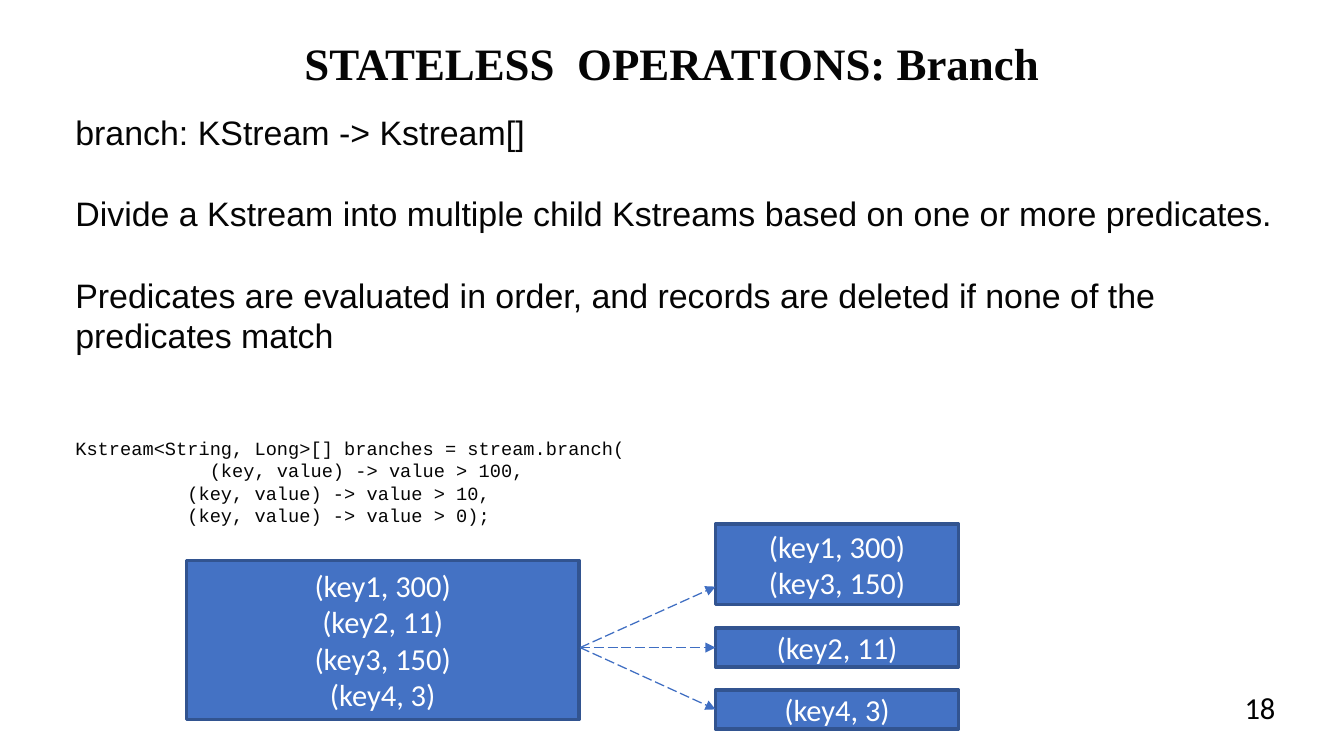
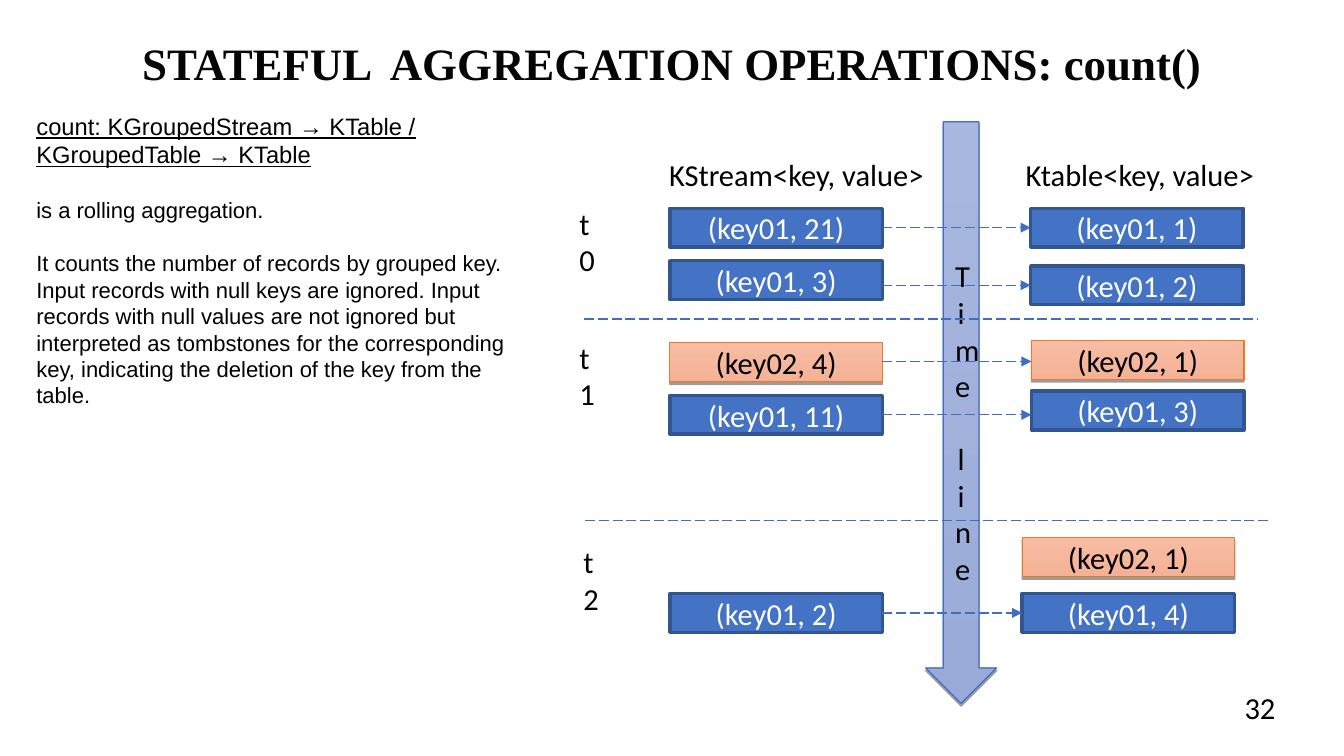
from lxml import etree
from pptx import Presentation
from pptx import util as u
from pptx.dml import color as dml_color
from pptx.enum import dml, shapes, text
from pptx.oxml import ns

INK, TITLE_INK, WHITE = "000000", "050505", "FFFFFF"
BLUE, BLUE_EDGE, LINE_BLUE, ORANGE_EDGE = "4472C4", "325490", "3F6EC2", "EC792A"
ORANGE_FADE = ("F7BCA4", "F4B196")
ARROW_FADE = ("A8B7DF", "9AABD9")
PAGE_WIDTH, PAGE_HEIGHT = 793.5, 446.5
LEFT, CENTER, RIGHT = text.PP_ALIGN.LEFT, text.PP_ALIGN.CENTER, text.PP_ALIGN.RIGHT


def rgb(value):
    return dml_color.RGBColor.from_string(value)


def points(*values):
    return [u.Pt(value) for value in values]


def add_xml(parent, tag, **attributes):
    return etree.SubElement(parent, ns.qn(tag), attributes)


class Deck:
    """The shared style and the slide being filled."""

    def __init__(self):
        self.show = Presentation()
        self.show.slide_width, self.show.slide_height = points(PAGE_WIDTH, PAGE_HEIGHT)
        self.page = None

    def new_page(self, title, number):
        self.page = self.show.slides.add_slide(self.show.slide_layouts[6])
        self.text((0, 13, PAGE_WIDTH, 50), title, font="Times New Roman", size=26.5,
                  color=TITLE_INK, bold=True, align=CENTER, insets=(8, 8, 8, 8))
        self.text((569, 407, 184, 30), number, align=RIGHT, insets=(0, 0, 0, 0))

    def style(self, paragraph, font="Calibri", size=18, color=INK, bold=False,
              underline=False, align=LEFT, before=0):
        paragraph.alignment = align
        if before:
            paragraph.space_before = u.Pt(before)
        for span in paragraph.runs:
            span.font.name, span.font.size = font, u.Pt(size)
            span.font.bold, span.font.underline = bold, underline
            span.font.color.rgb = rgb(color)

    def text(self, area, words, insets=(7, 3.5, 7, 3.5), wrap=True, **style):
        box = self.page.shapes.add_textbox(*points(*area))
        self.fill_frame(box.text_frame, words, insets, wrap, **style)
        return box.text_frame

    def fill_frame(self, frame, words, insets=(7, 3.5, 7, 3.5), wrap=True, **style):
        frame.word_wrap = wrap
        (frame.margin_left, frame.margin_top,
         frame.margin_right, frame.margin_bottom) = points(*insets)
        frame.text = words
        for paragraph in frame.paragraphs:
            self.style(paragraph, **style)

    def prose(self, area, parts, insets, **shared):
        """Text box whose paragraphs each bring their own style."""
        frame = self.text(area, "\n".join(words for words, _ in parts), insets)
        for paragraph, (_, own) in zip(frame.paragraphs, parts):
            self.style(paragraph, **{**shared, **own})

    def shape(self, kind, area, words, edge, edge_width, color, fill=None, fade=None):
        """Preset shape with a plain fill, or a fade with a small shadow below."""
        shape = self.page.shapes.add_shape(kind, *points(*area))
        shape.shadow.inherit = False
        shape.line.color.rgb, shape.line.width = rgb(edge), u.Pt(edge_width)
        if fade:
            shape.fill.gradient()
            shape.fill.gradient_angle = 270
            for stop, value in zip(shape.fill.gradient_stops, fade):
                stop.color.rgb = rgb(value)
            effects = shape._element.spPr.find(ns.qn("a:effectLst"))
            shadow = add_xml(effects, "a:outerShdw", blurRad="0", dist=str(u.Pt(1.6)),
                             dir="5400000", rotWithShape="0")
            add_xml(add_xml(shadow, "a:srgbClr", val=INK), "a:alpha", val="38000")
        else:
            shape.fill.solid()
            shape.fill.fore_color.rgb = rgb(fill)
        shape.text_frame.vertical_anchor = text.MSO_ANCHOR.MIDDLE
        self.fill_frame(shape.text_frame, words, color=color, align=CENTER)

    def record(self, area, words, warm=False):
        kind = shapes.MSO_SHAPE.RECTANGLE
        if warm:
            self.shape(kind, area, words, ORANGE_EDGE, 0.75, INK, fade=ORANGE_FADE)
        else:
            self.shape(kind, area, words, BLUE_EDGE, 2, WHITE, fill=BLUE)

    def dashes(self, start, end, arrow=True):
        line = self.page.shapes.add_connector(
            shapes.MSO_CONNECTOR.STRAIGHT, *points(*start, *end))
        line.line.color.rgb, line.line.width = rgb(LINE_BLUE), u.Pt(0.75)
        line.line.dash_style = dml.MSO_LINE.LONG_DASH
        properties = line._element.spPr
        if arrow:
            add_xml(properties.find(ns.qn("a:ln")), "a:tailEnd", type="triangle")
        add_xml(properties, "a:effectLst")


def branch_page(deck):
    deck.new_page("STATELESS  OPERATIONS: Branch", "18")
    code = {"font": "Courier New", "size": 11}
    deck.prose((27.5, 59, 739.5, 356.5), [
        ("branch: KStream -> Kstream[]", {}),
        ("Divide a Kstream into multiple child Kstreams based on one or more predicates.",
         {"before": 24}),
        ("Predicates are evaluated in order, and records are deleted if none of the "
         "predicates match", {"before": 24}),
        ("Kstream<String, Long>[] branches = stream.branch(", {**code, "before": 48}),
        ("            (key, value) -> value > 100,", code),
        ("          (key, value) -> value > 10,", code),
        ("          (key, value) -> value > 0);", code),
    ], insets=(17, 7, 7, 7), font="Arial", size=20, color=TITLE_INK)

    deck.record((110, 331, 232, 94), "(key1, 300)\n(key2, 11)\n(key3, 150)\n(key4, 3)")
    branch_left = 422.5
    branches = [
        (309.5, 47.5, 346.5, "(key1, 300)\n(key3, 150)"),
        (371, 23, 382.5, "(key2, 11)"),
        (407.5, 23, 419, "(key4, 3)"),
    ]
    for top, height, arrow_y, words in branches:
        deck.record((branch_left, top, 143.5, height), words)
        deck.dashes((342.5, 382.5), (branch_left, arrow_y))


def count_page(deck):
    deck.new_page("STATEFUL  AGGREGATION OPERATIONS: count()", "32")
    deck.prose((14.5, 62.5, 309.5, 181), [
        ("count: KGroupedStream → KTable / KGroupedTable → KTable",
         {"size": 14, "underline": True}),
        ("is a rolling aggregation.", {"before": 16.5}),
        ("It counts the number of records by grouped key. Input records with null keys are "
         "ignored. Input records with null values are not ignored but interpreted as "
         "tombstones for the corresponding key, indicating the deletion of the key from "
         "the table.", {"before": 15.75}),
    ], insets=(7, 3.5, 7, 3.5), font="Arial", size=13)

    deck.shape(shapes.MSO_SHAPE.DOWN_ARROW, (546.5, 72, 42, 343.5), " Time line",
               LINE_BLUE, 0.75, INK, fade=ARROW_FADE)
    deck.text((388, 88.5, 165, 29), "KStream<key, value>", wrap=False)
    deck.text((598.5, 88.5, 149, 29), "Ktable<key, value>", wrap=False)
    for left, top, words in [(335, 117.5, "t0"), (335, 196.5, "t1"), (337.5, 317.5, "t2")]:
        deck.text((left, top, 29, 29), words)
    for left, right, y in [(345, 743, 188.5), (345.5, 749, 307.5)]:
        deck.dashes((left, y), (right, y), arrow=False)

    stream_left, width, height = 395.5, 125.5, 23
    steps = [
        # stream record and top, arrow height, table record, left and top, warm
        ("(key01, 21)", 123, 134.5, "(key01, 1)", 608.5, 123, False),
        ("(key01, 3)", 154, 168.5, "(key01, 2)", 608.5, 157, False),
        ("(key02, 4)", 202.5, 213.5, "(key02, 1)", 609, 201, True),
        ("(key01, 11)", 233.5, 245, "(key01, 3)", 609, 231, False),
        ("(key01, 2)", 350.5, 362, "(key01, 4)", 603.5, 350.5, False),
    ]
    for stream, stream_top, arrow_y, table, table_left, table_top, warm in steps:
        deck.record((stream_left, stream_top, width, height), stream, warm)
        deck.record((table_left, table_top, width, height), table, warm)
        deck.dashes((stream_left + width, arrow_y), (table_left, arrow_y))
    deck.record((603.5, 317.5, width, height), "(key02, 1)", warm=True)


def main():
    deck = Deck()
    branch_page(deck)
    count_page(deck)
    deck.show.save("out.pptx")


if __name__ == "__main__":
    main()
